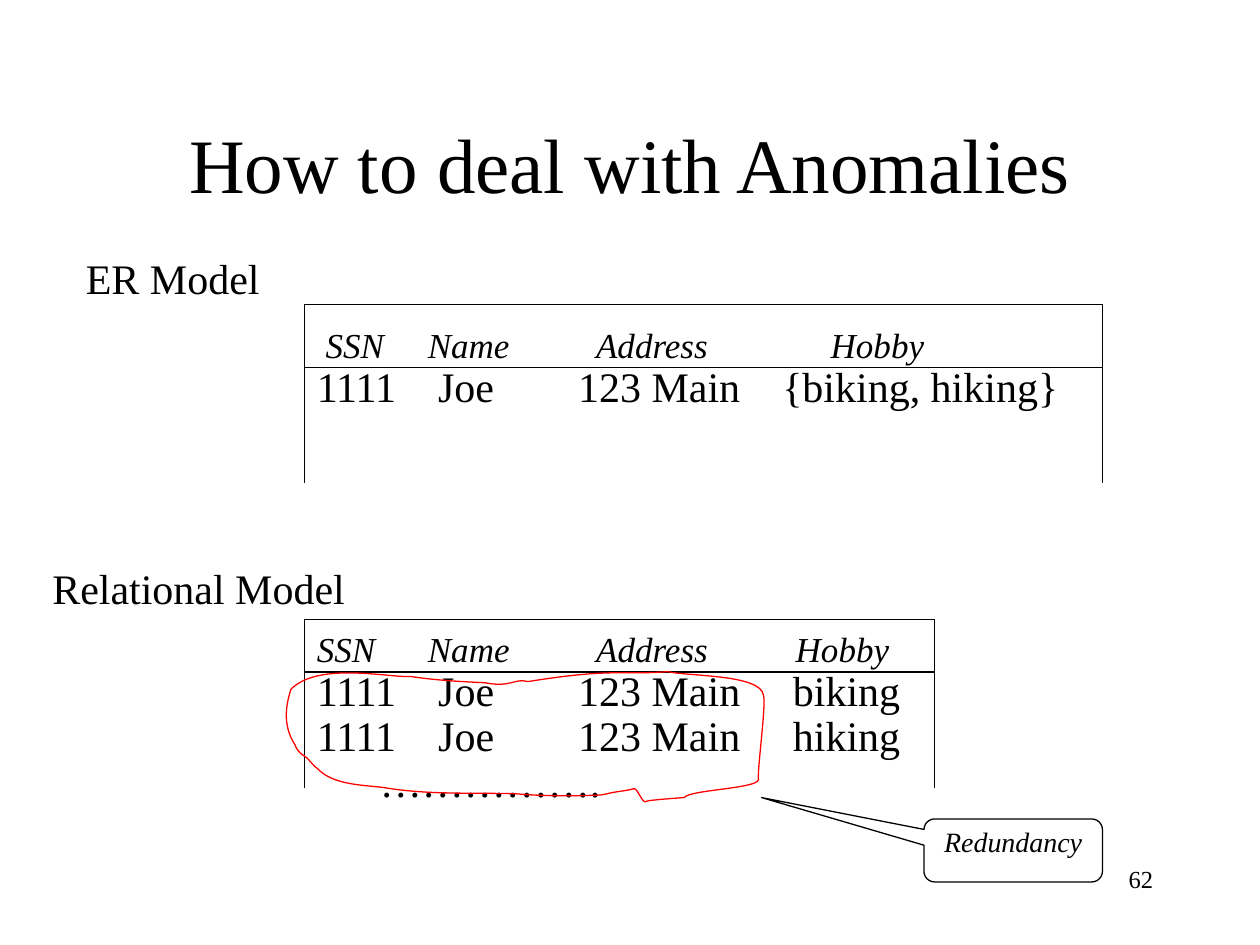
from dataclasses import dataclass
from lxml import etree
from pptx import Presentation
from pptx.dml.color import RGBColor
from pptx.enum.shapes import MSO_CONNECTOR, MSO_SHAPE
from pptx.enum.text import MSO_ANCHOR, PP_ALIGN
from pptx.oxml.ns import qn
from pptx.util import Pt

STRAIGHT = MSO_CONNECTOR.STRAIGHT
CALLOUT = MSO_SHAPE.ROUNDED_RECTANGULAR_CALLOUT
TOP, MIDDLE = MSO_ANCHOR.TOP, MSO_ANCHOR.MIDDLE
LEFT, CENTER, RIGHT = PP_ALIGN.LEFT, PP_ALIGN.CENTER, PP_ALIGN.RIGHT


@dataclass(frozen=True)
class Theme:
    font: str = "Times New Roman"
    ink: RGBColor = RGBColor(0, 0, 0)
    highlight: RGBColor = RGBColor(255, 0, 0)
    title: int = 44
    body: int = 24
    header: int = 20
    note: int = 16
    page: int = 14
    rule: float = 0.75


theme = Theme()


def write(paragraph, text, size, italic=False, align=LEFT, spacing=0.9, stops=()):
    paragraph.alignment = align
    paragraph.line_spacing = spacing
    run = paragraph.add_run()
    run.text = text
    run.font.name = theme.font
    run.font.size = Pt(size)
    run.font.italic = italic
    run.font.color.rgb = theme.ink
    if stops:
        tabs = etree.SubElement(paragraph._p.get_or_add_pPr(), qn("a:tabLst"))
        for stop in stops:
            etree.SubElement(tabs, qn("a:tab"), pos=str(Pt(stop)), algn="l")


def add_frame(left, top, width, height):
    frame = slide.shapes.add_textbox(Pt(left), Pt(top), Pt(width), Pt(height)).text_frame
    frame.word_wrap = True
    return frame


prs = Presentation()
prs.slide_width, prs.slide_height = Pt(720), Pt(540)
slide = prs.slides.add_slide(prs.slide_layouts[5])

title = slide.shapes.title
title.left, title.top, title.width, title.height = Pt(54), Pt(48), Pt(612), Pt(90)
title.text_frame.vertical_anchor = MIDDLE
write(title.text_frame.paragraphs[0], "How to deal with Anomalies", theme.title,
      align=CENTER, spacing=1)

page_number = add_frame(516, 490.3, 150, 36)
write(page_number.paragraphs[0], "62", theme.page, align=RIGHT, spacing=1)

for caption, left, top, width in [
    ("ER Model", 42, 144, 114),
    ("Relational Model", 22.8, 321, 181.5),
]:
    write(add_frame(left, top, width, 36).paragraphs[0], caption, theme.body)

row_stops = (69.3, 149.3, 272)
relations = [
    (184.1, 441, 60, [
        ("\tSSN\tName\tAddress\tHobby", theme.header, (5, 63.4, 159.6, 293.6)),
        ("1111\tJoe\t123 Main\t{biking, hiking}", theme.body, (69.3, 149.3, 266)),
    ]),
    (357.8, 351, 117.4, [
        ("SSN\tName\tAddress\tHobby", theme.header, (63.4, 159.6, 273.6)),
        ("1111\tJoe\t123 Main\tbiking", theme.body, row_stops),
        ("1111\tJoe\t123 Main\thiking", theme.body, row_stops),
        ("\t…………….", theme.body, (36,)),
    ]),
]
for top, width, height, rows in relations:
    frame = add_frame(174, top, width, height)
    for index, (text, size, stops) in enumerate(rows):
        paragraph = frame.add_paragraph() if index else frame.paragraphs[0]
        write(paragraph, text, size, italic=size == theme.header, stops=stops)

for left, right, top, header_bottom, bottom in [
    (174, 630, 174, 210, 276),
    (174, 534, 354, 384, 450),
]:
    for x1, y1, x2, y2 in [
        (left, top, right, top),
        (left, header_bottom, right, header_bottom),
        (left, top, left, bottom),
        (right, top, right, bottom),
    ]:
        border = slide.shapes.add_connector(STRAIGHT, Pt(x1), Pt(y1), Pt(x2), Pt(y2))
        border.line.color.rgb = theme.ink
        border.line.width = Pt(theme.rule)
        etree.SubElement(border._element.spPr, qn("a:effectLst"))

loop_start = (277.2, 390.2)
loop_curves = [
    (263.5, 389.5, 249.1, 388.8, 234.7, 386.6),
    (222.5, 387.4, 182.2, 378, 166.3, 393.8),
    (162.7, 404.6, 162, 415.4, 168.5, 425.5),
    (170.6, 430.6, 172.1, 430.6, 175.7, 433.4),
    (177.8, 435.6, 179.3, 437.8, 181.4, 439.2),
    (190.1, 448.6, 207.4, 448.6, 218.9, 450),
    (244.1, 454.3, 269.3, 452.9, 294.5, 453.6),
    (311, 455, 326.9, 455, 343.4, 454.3),
    (344.9, 454.3, 345.6, 453.6, 347, 453.6),
    (352.1, 452.2, 357.1, 452.2, 362.2, 450.7),
    (364.3, 450, 367.2, 460.1, 369.4, 457.9),
    (370.1, 457.2, 391, 455.8, 391, 455.8),
    (393.8, 451.4, 432, 450.7, 433.4, 445.7),
    (432.7, 439.2, 437.8, 403.9, 436.3, 397.4),
    (434.9, 385.2, 393.1, 386.6, 381.6, 383.8),
    (355, 385.9, 350.6, 381.6, 301.7, 389.5),
    (293.8, 387.4, 292.3, 393.1, 277.2, 390.2),
]
builder = slide.shapes.build_freeform(Pt(loop_start[0]), Pt(loop_start[1]))
builder.add_line_segments([(Pt(c[4]), Pt(c[5])) for c in loop_curves], close=True)
redundant_loop = builder.convert_to_shape()
segments = list(redundant_loop._element.iter(qn("a:lnTo")))
for segment, curve in zip(segments, loop_curves):
    bezier = etree.Element(qn("a:cubicBezTo"))
    for x, y in zip(curve[::2], curve[1::2]):
        etree.SubElement(bezier, qn("a:pt"), x=str(Pt(x) - redundant_loop.left),
                         y=str(Pt(y) - redundant_loop.top))
    segment.getparent().replace(segment, bezier)

callout = slide.shapes.add_shape(CALLOUT, Pt(528), Pt(468), Pt(102), Pt(36))
for index, value in enumerate((-1.41, -0.84, 0.17)):
    callout.adjustments[index] = value
callout.text_frame.vertical_anchor = TOP
write(callout.text_frame.paragraphs[0], "Redundancy", theme.note, italic=True, align=CENTER)

for shape, color in [(redundant_loop, theme.highlight), (callout, theme.ink)]:
    shape.shadow.inherit = False
    shape.fill.background()
    shape.line.color.rgb = color
    shape.line.width = Pt(theme.rule)

prs.save("out.pptx")
